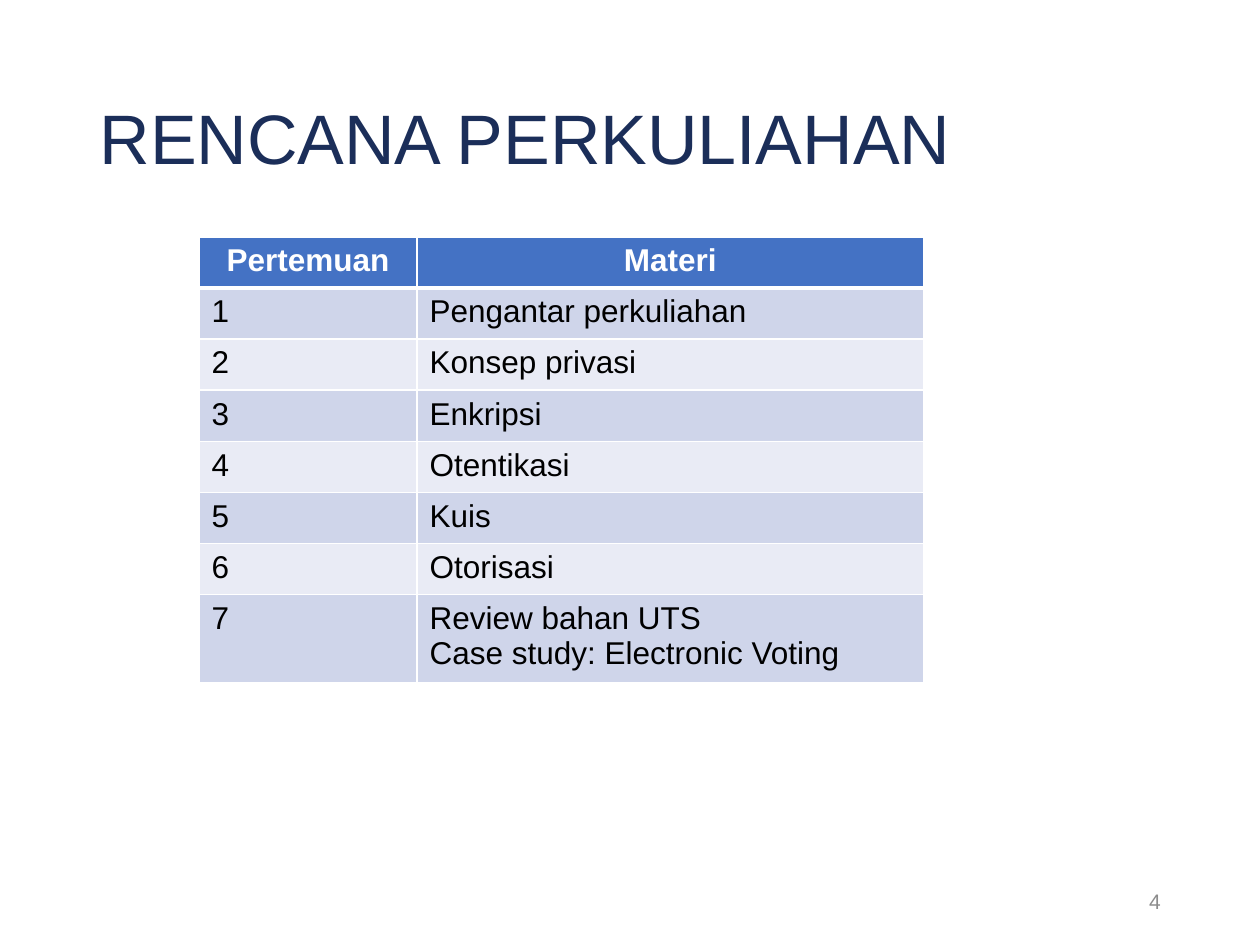
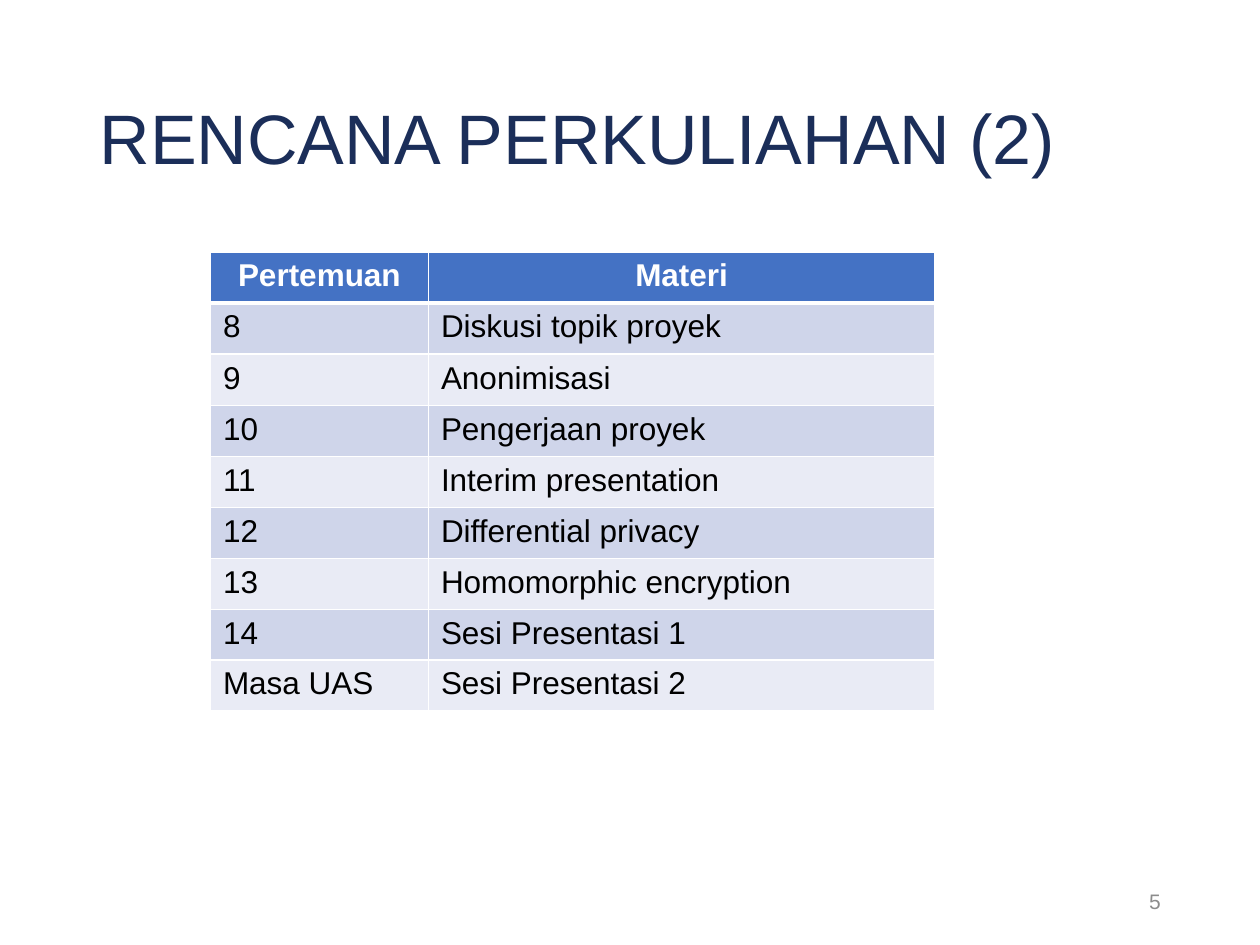
from dataclasses import dataclass
from lxml.etree import SubElement
from pptx import Presentation
from pptx.dml.color import RGBColor
from pptx.enum.text import MSO_ANCHOR, MSO_AUTO_SIZE, PP_ALIGN
from pptx.oxml.ns import qn
from pptx.slide import Slide
from pptx.table import _Cell
from pptx.text.text import TextFrame
from pptx.util import Inches, Length, Pt

NAVY = RGBColor(0x1B, 0x2E, 0x59)
GRAY = RGBColor(0x8C, 0x8C, 0x8C)
BLUE = RGBColor(0x44, 0x72, 0xC4)
WHITE = RGBColor(0xFF, 0xFF, 0xFF)
BLACK = RGBColor(0x00, 0x00, 0x00)
BANDS = (RGBColor(0xCF, 0xD5, 0xEA), RGBColor(0xE9, 0xEB, 0xF5))

HEADER = ("Pertemuan", "Materi")
WIDTHS = (Inches(1.73), Inches(4.02))
FULL = Length(Inches(2.84) // 7)
SHORT = Inches(0.38)
TALL = Inches(0.65)


@dataclass(frozen=True)
class Style:
    font: dict
    para: dict


TITLE = Style({"size": Pt(40), "bold": False}, {"alignment": PP_ALIGN.LEFT, "line_spacing": 0.9})
NUMBER = Style({"size": Pt(12), "bold": False}, {"alignment": PP_ALIGN.RIGHT})
HEAD = Style({"size": Pt(18), "bold": True}, {"alignment": PP_ALIGN.CENTER})
BODY = Style({"size": Pt(18), "bold": False}, {"alignment": PP_ALIGN.LEFT})


@dataclass(frozen=True)
class Plan:
    title: str
    number: int
    left: Length
    top: Length
    rows: tuple[tuple[str, str], ...]
    tail: tuple[Length, ...]


PLANS = (
    Plan("RENCANA PERKULIAHAN", 4, Inches(1.58), Inches(1.88), (
        ("1", "Pengantar perkuliahan"),
        ("2", "Konsep privasi"),
        ("3", "Enkripsi"),
        ("4", "Otentikasi"),
        ("5", "Kuis"),
        ("6", "Otorisasi"),
        ("7", "Review bahan UTS\nCase study: Electronic Voting"),
    ), (TALL,)),
    Plan("RENCANA PERKULIAHAN (2)", 5, Inches(1.67), Inches(2), (
        ("8", "Diskusi topik proyek"),
        ("9", "Anonimisasi"),
        ("10", "Pengerjaan proyek"),
        ("11", "Interim presentation"),
        ("12", "Differential privacy"),
        ("13", "Homomorphic encryption"),
        ("14", "Sesi Presentasi 1"),
        ("Masa UAS", "Sesi Presentasi 2"),
    ), (SHORT, SHORT)),
)


def apply(target: object, values: dict) -> None:
    for name, value in values.items():
        setattr(target, name, value)


def write(frame: TextFrame, text: str, style: Style, color: RGBColor) -> None:
    frame.text = text
    for para in frame.paragraphs:
        apply(para, style.para)
        for run in para.runs:
            apply(run.font, {"name": "Arial", **style.font})
            run.font.color.rgb = color


def border(cell: _Cell, top: int, bottom: int) -> None:
    props = cell._tc.get_or_add_tcPr()
    sides = {"a:lnL": 1, "a:lnR": 1, "a:lnT": top, "a:lnB": bottom}
    for index, (side, width) in enumerate(sides.items()):
        line = SubElement(props, qn(side), w=str(Pt(width)))
        fill = SubElement(line, qn("a:solidFill"))
        SubElement(fill, qn("a:srgbClr"), val=str(WHITE))
        props.insert(index, line)


def add_title(slide: Slide, text: str) -> None:
    title = slide.shapes.title
    apply(title, {"left": Inches(0.69), "top": Inches(0.4),
                  "width": Inches(8.62), "height": Inches(1.45)})
    apply(title.text_frame, {"vertical_anchor": MSO_ANCHOR.MIDDLE, "word_wrap": True,
                             "auto_size": MSO_AUTO_SIZE.NONE})
    write(title.text_frame, text, TITLE, NAVY)


def add_number(slide: Slide, number: int) -> None:
    box = slide.shapes.add_textbox(Inches(7.06), Inches(6.95), Inches(2.25), Inches(0.4))
    apply(box.text_frame, {"vertical_anchor": MSO_ANCHOR.MIDDLE, "word_wrap": True})
    write(box.text_frame, str(number), NUMBER, GRAY)


def add_plan(slide: Slide, plan: Plan) -> None:
    rows = (HEADER, *plan.rows)
    heights = (FULL,) * (len(rows) - len(plan.tail)) + plan.tail
    table = slide.shapes.add_table(len(rows), len(HEADER), plan.left, plan.top,
                                   sum(WIDTHS), sum(heights)).table
    for column, width in zip(table.columns, WIDTHS):
        column.width = width
    for index, (texts, height) in enumerate(zip(rows, heights)):
        table.rows[index].height = height
        head = index == 0
        for column, text in enumerate(texts):
            cell = table.cell(index, column)
            write(cell.text_frame, text, HEAD if head else BODY, WHITE if head else BLACK)
            cell.fill.solid()
            cell.fill.fore_color.rgb = BLUE if head else BANDS[(index - 1) % 2]
            border(cell, 3 if index == 1 else 1, 3 if head else 1)


def main() -> None:
    deck = Presentation()
    apply(deck, {"slide_width": Inches(10), "slide_height": Inches(7.5)})
    for plan in PLANS:
        slide = deck.slides.add_slide(deck.slide_layouts[5])
        add_title(slide, plan.title)
        add_number(slide, plan.number)
        add_plan(slide, plan)
    deck.save("out.pptx")


if __name__ == "__main__":
    main()
